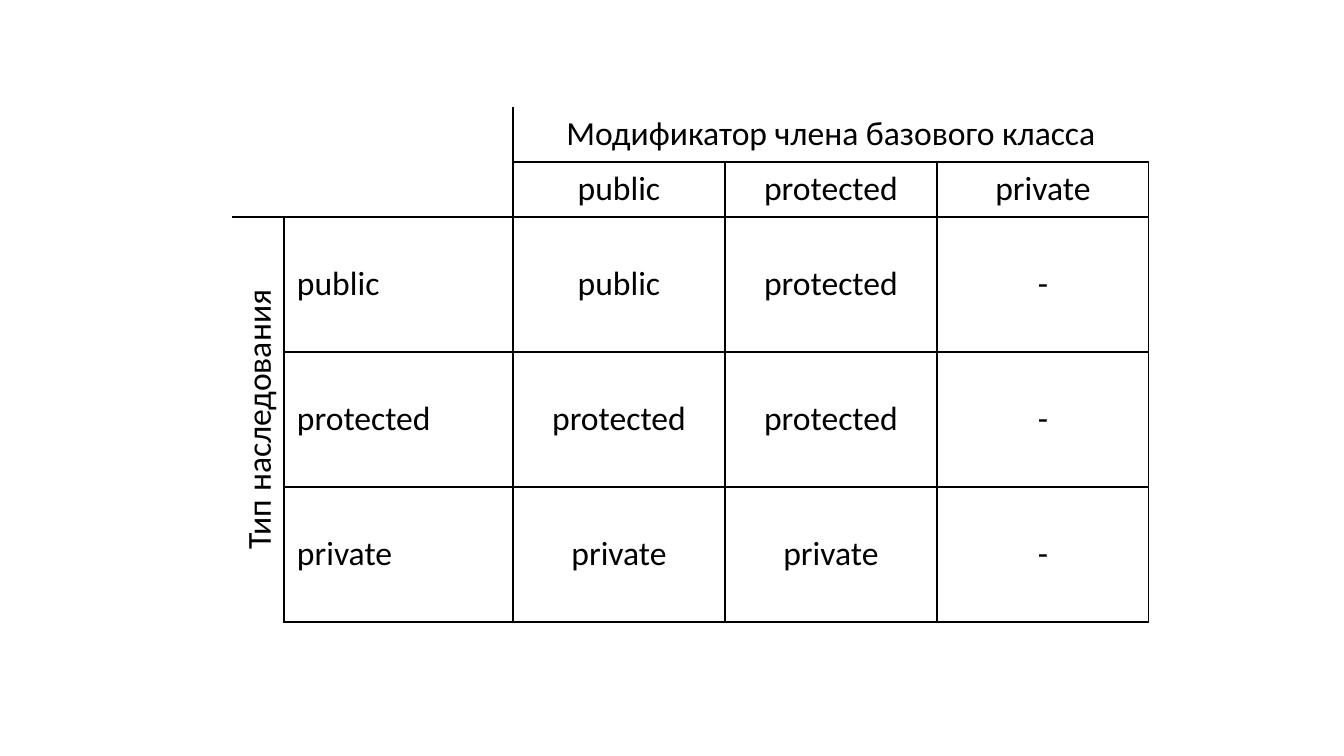
from itertools import product

from lxml.etree import SubElement
from pptx import Presentation
from pptx.dml.color import RGBColor
from pptx.enum.text import MSO_ANCHOR, PP_ALIGN
from pptx.oxml.ns import qn
from pptx.util import Emu, Pt

PX = 9071  # EMU; 1344 px span the slide's width

COLUMN_WIDTHS = [52, 229, 212, 212, 212]
ROW_HEIGHTS = [54, 54, 135, 135, 135]
INHERITANCE_RULES = [
    ["", "", "Модификатор члена базового класса", "", ""],
    ["", "", "public", "protected", "private"],
    ["Тип наследования", "public", "public", "protected", "-"],
    ["", "protected", "protected", "protected", "-"],
    ["", "private", "private", "private", "-"],
]
# First row, first column, last row, last column
MERGED_BLOCKS = [(0, 0, 1, 1), (0, 2, 0, 4), (2, 0, 4, 0)]
INHERITANCE_TYPE = (2, 0)
SIDES = {"lnL": (0, -1), "lnR": (0, 1), "lnT": (-1, 0), "lnB": (1, 0)}


def px(length):
    return Emu(length * PX)


def color(hex_string):
    return RGBColor.from_string(hex_string)


def block_of(row, column):
    """Return the merged block holding a cell, or the cell's own block."""
    for block in MERGED_BLOCKS:
        top, left, bottom, right = block
        if top <= row <= bottom and left <= column <= right:
            return block
    return row, column, row, column


class TableSlide:
    font = "Calibri"
    size = Pt(24)
    ink = "000000"

    def __init__(self, presentation):
        self.slide = presentation.slides.add_slide(presentation.slide_layouts[6])

    def table(self, left, top, widths, heights):
        frame = self.slide.shapes.add_table(
            len(heights), len(widths), px(left), px(top), px(sum(widths)), px(sum(heights)))
        table = frame.table
        table.first_row = table.horz_banding = False
        for column, width in zip(table.columns, widths):
            column.width = px(width)
        for row, height in zip(table.rows, heights):
            row.height = px(height)
        return table

    def cell(self, cell, text, align):
        cell.fill.background()
        cell.vertical_anchor = MSO_ANCHOR.MIDDLE
        cell.margin_left = cell.margin_right = px(13)
        cell.margin_top = cell.margin_bottom = px(7)
        paragraph = cell.text_frame.paragraphs[0]
        paragraph.alignment = align
        if text:
            run = paragraph.add_run()
            run.text = text
            run.font.name = self.font
            run.font.size = self.size
            run.font.color.rgb = color(self.ink)

    def border(self, cell, side, visible):
        properties = cell._tc.get_or_add_tcPr()
        line = SubElement(properties, qn(f"a:{side}"), w=str(Pt(1)))
        if visible:
            fill = SubElement(line, qn("a:solidFill"))
            SubElement(fill, qn("a:srgbClr"), val=self.ink)
        else:
            SubElement(line, qn("a:noFill"))


def has_border(row, column, step):
    """Rule every block's edge except the table's outer top and left."""
    neighbour = row + step[0], column + step[1]
    return min(neighbour) >= 0 and block_of(*neighbour) != block_of(row, column)


def main():
    presentation = Presentation()
    presentation.slide_width, presentation.slide_height = px(1344), px(756)
    page = TableSlide(presentation)
    access_table = page.table(232, 107, COLUMN_WIDTHS, ROW_HEIGHTS)

    for row, column in product(range(len(ROW_HEIGHTS)), range(len(COLUMN_WIDTHS))):
        cell = access_table.cell(row, column)
        for side, step in SIDES.items():
            page.border(cell, side, has_border(row, column, step))
        align = PP_ALIGN.LEFT if column == 1 else PP_ALIGN.CENTER
        page.cell(cell, INHERITANCE_RULES[row][column], align)

    for top, left, bottom, right in MERGED_BLOCKS:
        access_table.cell(top, left).merge(access_table.cell(bottom, right))
    access_table.cell(*INHERITANCE_TYPE)._tc.get_or_add_tcPr().set("vert", "vert270")

    presentation.save("out.pptx")


if __name__ == "__main__":
    main()
